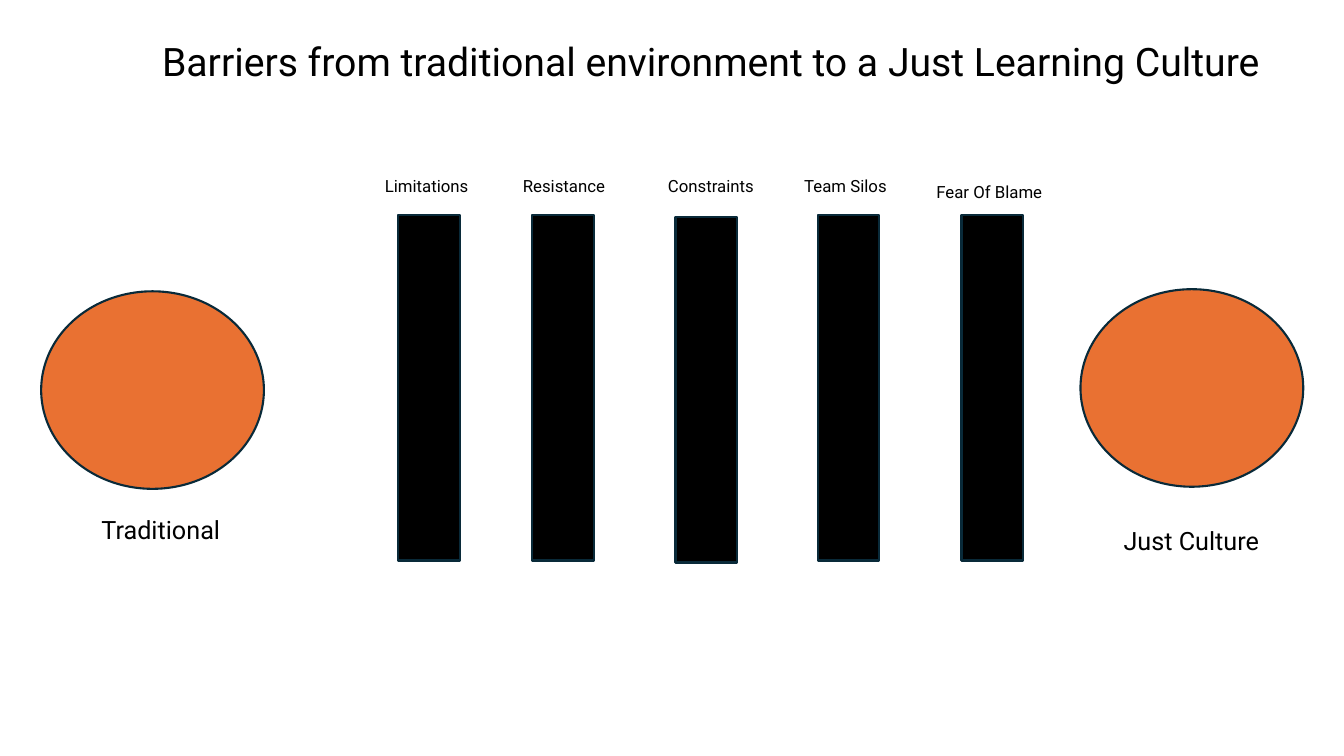
from pptx import Presentation
from pptx.dml.color import RGBColor
from pptx.enum.shapes import MSO_SHAPE
from pptx.enum.text import MSO_AUTO_SIZE
from pptx.util import Pt

# Content: all lengths in points
TITLE = ("Barriers from traditional environment to a Just Learning Culture", 108.7, 23, 815.8, 41)

# Name, bar left, bar top, label left, label top, label width
BARRIERS = [
    ("Limitations", 284.4, 153.4, 267.8, 121.7, 77),
    ("Resistance", 380.2, 153.4, 366.4, 121.7, 77),
    ("Constraints", 482.5, 154.8, 470, 121.7, 77),
    ("Team Silos", 584, 153.4, 567.4, 121.7, 82.1),
    ("Fear Of Blame", 686.8, 153.4, 661.8, 126, 93.6),
]

# Name, circle left, circle top, label left, label top, label width
CULTURES = [
    ("Traditional", 29.4, 208.1, 65.4, 363.6, 102.2),
    ("Just Culture", 771.8, 206.6, 795.5, 371.5, 111.6),
]

THEME = {
    "font": "Roboto",
    "text": RGBColor(0, 0, 0),
    "bar": RGBColor(0, 0, 0),
    "circle": RGBColor(0xE9, 0x71, 0x32),
    "outline": RGBColor(0x09, 0x2A, 0x39),
    "outline_width": 1.5,
    "title_size": 28,
    "culture_size": 18,
    "barrier_size": 12,
}
SLIDE_SIZE = (960, 540)
BAR_SIZE = (43.9, 247)
CIRCLE_SIZE = (159.1, 141.1)
BARRIER_LABEL_HEIGHT = 21.6
CULTURE_LABEL_HEIGHT = 28.8


def add_text(page, text, *, left, top, width, height, size):
    box = page.shapes.add_textbox(Pt(left), Pt(top), Pt(width), Pt(height))
    box.text_frame.word_wrap = True
    box.text_frame.auto_size = MSO_AUTO_SIZE.SHAPE_TO_FIT_TEXT
    span = box.text_frame.paragraphs[0].add_run()
    span.text = text
    span.font.name = THEME["font"]
    span.font.size = Pt(size)
    span.font.color.rgb = THEME["text"]


def add_figure(page, kind, left, top, size, fill):
    width, height = size
    shape = page.shapes.add_shape(kind, Pt(left), Pt(top), Pt(width), Pt(height))
    shape.shadow.inherit = False
    shape.fill.solid()
    shape.fill.fore_color.rgb = fill
    shape.line.color.rgb = THEME["outline"]
    shape.line.width = Pt(THEME["outline_width"])


def main():
    deck = Presentation()
    deck.slide_width, deck.slide_height = (Pt(side) for side in SLIDE_SIZE)
    page = deck.slides.add_slide(deck.slide_layouts[6])

    # Title
    text, left, top, width, height = TITLE
    add_text(page, text, left=left, top=top, width=width, height=height,
             size=THEME["title_size"])

    # Start and end cultures
    for name, circle_left, circle_top, left, top, width in CULTURES:
        add_figure(page, MSO_SHAPE.FLOWCHART_CONNECTOR, circle_left, circle_top,
                   CIRCLE_SIZE, THEME["circle"])
        add_text(page, name, left=left, top=top, width=width,
                 height=CULTURE_LABEL_HEIGHT, size=THEME["culture_size"])

    # Barriers between them
    for name, bar_left, bar_top, left, top, width in BARRIERS:
        add_figure(page, MSO_SHAPE.RECTANGLE, bar_left, bar_top, BAR_SIZE, THEME["bar"])
        add_text(page, name, left=left, top=top, width=width,
                 height=BARRIER_LABEL_HEIGHT, size=THEME["barrier_size"])

    deck.save("out.pptx")


if __name__ == "__main__":
    main()
